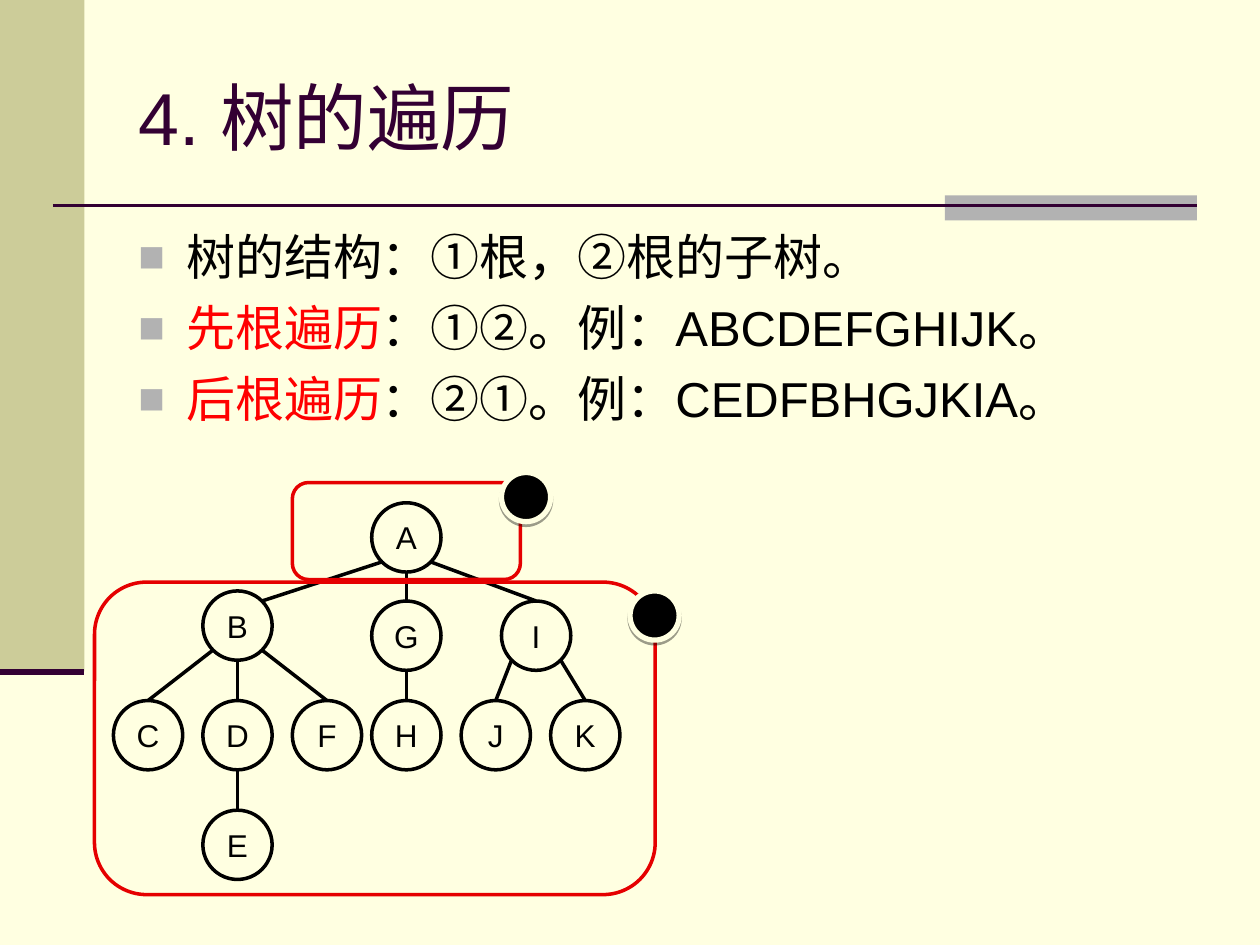
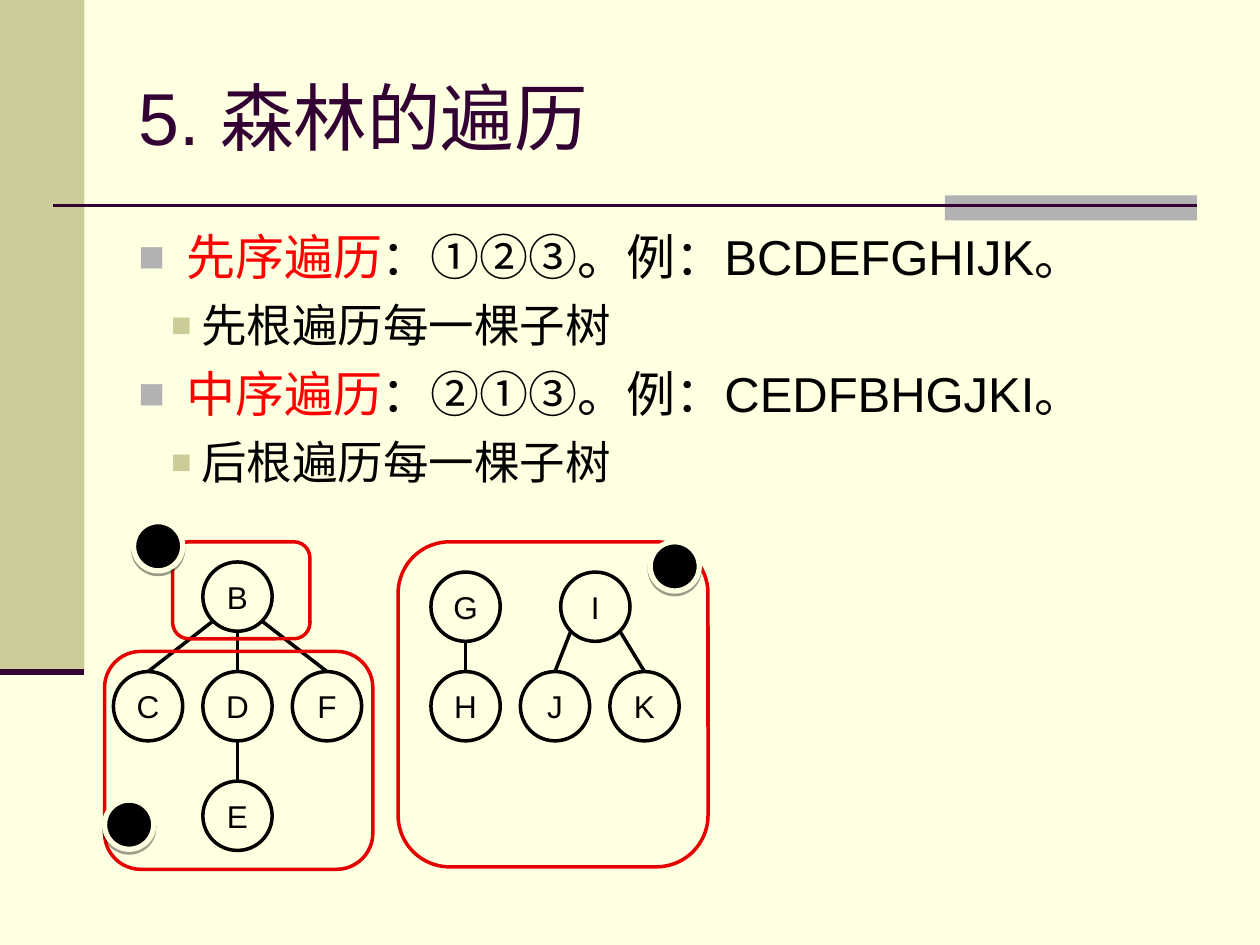
from lxml import etree
from pptx import Presentation
from pptx.dml.color import RGBColor
from pptx.enum.shapes import MSO_CONNECTOR, MSO_SHAPE
from pptx.enum.text import MSO_ANCHOR, MSO_AUTO_SIZE, PP_ALIGN
from pptx.oxml.ns import qn
from pptx.util import Inches, Pt

OVAL = MSO_SHAPE.OVAL
RECTANGLE = MSO_SHAPE.RECTANGLE
ROUNDED = MSO_SHAPE.ROUNDED_RECTANGLE
STRAIGHT = MSO_CONNECTOR.STRAIGHT
MIDDLE = MSO_ANCHOR.MIDDLE
LEFT, CENTER = PP_ALIGN.LEFT, PP_ALIGN.CENTER

FONT = "Arial"
CREAM, OLIVE, GRAY, PLUM = "FFFFE1", "CCCC99", "B2B2B2", "330033"
BLACK, RED, FRAME_RED = "000000", "FF0000", "E50000"

NODE_SIZE = 0.55
BADGE_SIZE = 0.39
COLUMN = 0.71
CORNER = NODE_SIZE / 2 * 0.71

# Per level: margin, indent, space before, bullet colour, bullet size, text size
LEVELS = [(0.38, -0.38, 7, GRAY, 90, 28), (0.5, -0.24, 6.5, OLIVE, 75, 26)]

# Node offsets from the top left of each group of trees
TREE_B = {"B": (COLUMN, 0), "C": (0, 0.87), "D": (COLUMN, 0.87),
          "F": (2 * COLUMN, 0.87), "E": (COLUMN, 1.74)}
TREES_G_I = {"G": (0, 0), "I": (1.03, 0), "H": (0, 0.79),
             "J": (COLUMN, 0.79), "K": (2 * COLUMN, 0.79)}
EDGES_B = ["BC", "BF", "BD", "DE"]
EDGES_G_I = ["GH", "IJ", "IK"]


def color(hex_string):
    return RGBColor.from_string(hex_string)


def format_run(run, size, hex_string):
    run.font.name = FONT
    run.font.size = Pt(size)
    run.font.color.rgb = color(hex_string)


def add_shape(slide, kind, box, fill=None, line=None, width=2):
    shape = slide.shapes.add_shape(kind, *map(Inches, box))
    shape.shadow.inherit = False
    if fill:
        shape.fill.solid()
        shape.fill.fore_color.rgb = color(fill)
    else:
        shape.fill.background()
    if line:
        shape.line.color.rgb = color(line)
        shape.line.width = Pt(width)
    else:
        shape.line.fill.background()
    return shape


def add_line(slide, start, end, hex_string=BLACK, width=2):
    line = slide.shapes.add_connector(STRAIGHT, *map(Inches, (*start, *end)))
    line.line.color.rgb = color(hex_string)
    line.line.width = Pt(width)
    etree.SubElement(line._element.spPr, qn("a:effectLst"))


def add_label(shape, text):
    frame = shape.text_frame
    frame.text = text
    frame.word_wrap = False
    frame.vertical_anchor = MIDDLE
    paragraph = frame.paragraphs[0]
    paragraph.alignment = CENTER
    format_run(paragraph.runs[0], 18, BLACK)


def add_bands(slide):
    add_shape(slide, RECTANGLE, (0, 0, 0.67, 5.33), OLIVE)
    add_shape(slide, RECTANGLE, (7.5, 1.55, 2, 0.2), GRAY)
    add_line(slide, (0.42, 1.63), (9.5, 1.63), PLUM, 1.5)
    add_line(slide, (0, 5.33), (0.67, 5.33), PLUM, 3.5)


def set_title(slide, text):
    title = slide.shapes.title
    title.left, title.top, title.width, title.height = map(Inches, (1, 0.3, 8.5, 1.25))
    frame = title.text_frame
    frame.text = text
    frame.auto_size = MSO_AUTO_SIZE.NONE
    frame.vertical_anchor = MIDDLE
    frame.paragraphs[0].alignment = LEFT
    format_run(frame.paragraphs[0].runs[0], 42, PLUM)


def set_bullet(paragraph, level):
    margin, indent, space, bullet_color, bullet_size, _ = LEVELS[level]
    paragraph.level = level
    paragraph.space_before = Pt(space)
    properties = paragraph._p.get_or_add_pPr()
    properties.set("marL", str(Inches(margin)))
    properties.set("indent", str(Inches(indent)))
    color_element = etree.SubElement(properties, qn("a:buClr"))
    etree.SubElement(color_element, qn("a:srgbClr"), val=bullet_color)
    etree.SubElement(properties, qn("a:buSzPct"), val=str(bullet_size * 1000))
    etree.SubElement(properties, qn("a:buFont"), typeface=FONT)
    etree.SubElement(properties, qn("a:buChar"), char="■")


def add_body(slide, box, items):
    """Each item is (level, red term, black text)."""
    frame = slide.shapes.add_textbox(*map(Inches, box)).text_frame
    frame.word_wrap = True
    for index, (level, term, text) in enumerate(items):
        paragraph = frame.paragraphs[0] if index == 0 else frame.add_paragraph()
        set_bullet(paragraph, level)
        for part, hex_string in ((term, RED), (text, BLACK)):
            if part:
                run = paragraph.add_run()
                run.text = part
                format_run(run, LEVELS[level][-1], hex_string)


def place(offsets, left, top):
    return {name: (left + x, top + y) for name, (x, y) in offsets.items()}


def add_nodes(slide, nodes):
    for name, (left, top) in nodes.items():
        node = add_shape(slide, OVAL, (left, top, NODE_SIZE, NODE_SIZE), CREAM, BLACK)
        add_label(node, name)


def add_edge(slide, parent, child, to_corner=False):
    """Join two nodes; a slanted edge leaves the parent at its lower corner."""
    half = NODE_SIZE / 2
    parent_x, parent_y = (value + half for value in parent)
    child_x, child_y = (value + half for value in child)
    if parent_x == child_x:
        start = (parent_x, parent_y + half)
    else:
        side = CORNER if child_x > parent_x else -CORNER
        start = (parent_x + side, parent_y + CORNER)
    end = (child_x, child_y - half)
    if to_corner:
        end = (child_x + CORNER, child_y - CORNER)
    add_line(slide, start, end)


def add_trees(slide, nodes, edges):
    add_nodes(slide, nodes)
    for parent, child in edges:
        add_edge(slide, nodes[parent], nodes[child], to_corner=parent + child == "AB")


def add_badge(slide, left, top):
    badge = add_shape(slide, OVAL, (left, top, BADGE_SIZE, BADGE_SIZE), BLACK, CREAM, 3)
    effects = badge._element.spPr.find(qn("a:effectLst"))
    shadow = etree.SubElement(effects, qn("a:outerShdw"), blurRad="0",
                              dist=str(Pt(1.6)), dir="5400000", rotWithShape="0")
    shade = etree.SubElement(shadow, qn("a:srgbClr"), val=BLACK)
    etree.SubElement(shade, qn("a:alpha"), val="38000")


def add_regions(slide, regions):
    """Each region is (frame box, badge position)."""
    for box, _ in regions:
        add_shape(slide, ROUNDED, box, line=FRAME_RED)
    for _, position in regions:
        add_badge(slide, *position)


def add_traversal_slide(presentation, title, items, nodes, edges, regions):
    slide = presentation.slides.add_slide(presentation.slide_layouts.get_by_name("Title Only"))
    add_bands(slide)
    set_title(slide, title)
    add_body(slide, (1, 1.75, 8.5, 4.95), items)
    add_trees(slide, nodes, edges)
    add_regions(slide, regions)


def main():
    presentation = Presentation()
    presentation.slide_width, presentation.slide_height = Inches(10), Inches(7.5)
    background = presentation.slide_master.background.fill
    background.solid()
    background.fore_color.rgb = color(CREAM)

    add_traversal_slide(
        presentation, "4. 树的遍历",
        [(0, "", "树的结构：①根，②根的子树。"),
         (0, "先根遍历", "：①②。例：ABCDEFGHIJK。"),
         (0, "后根遍历", "：②①。例：CEDFBHGJKIA。")],
        {"A": (2.95, 3.99), **place(TREE_B, 0.9, 4.69), **place(TREES_G_I, 2.95, 4.77)},
        ["AB", "AG", "AI"] + EDGES_B + EDGES_G_I,
        [((2.32, 3.83, 1.81, 0.77), (3.98, 3.75)),
         ((0.75, 4.62, 4.45, 2.48), (5, 4.69))])

    add_traversal_slide(
        presentation, "5. 森林的遍历",
        [(0, "先序遍历", "：①②③。例：BCDEFGHIJK。"),
         (1, "", "先根遍历每一棵子树"),
         (0, "中序遍历", "：②①③。例：CEDFBHGJKI。"),
         (1, "", "后根遍历每一棵子树")],
        {**place(TREE_B, 0.9, 4.46), **place(TREES_G_I, 3.42, 4.54)},
        EDGES_B + EDGES_G_I,
        [((1.37, 4.3, 1.09, 0.77), (1.06, 4.14)),
         ((0.83, 5.17, 2.13, 1.73), (0.83, 6.35)),
         ((3.16, 4.3, 2.46, 2.58), (5.16, 4.3))])

    presentation.save("out.pptx")


if __name__ == "__main__":
    main()
